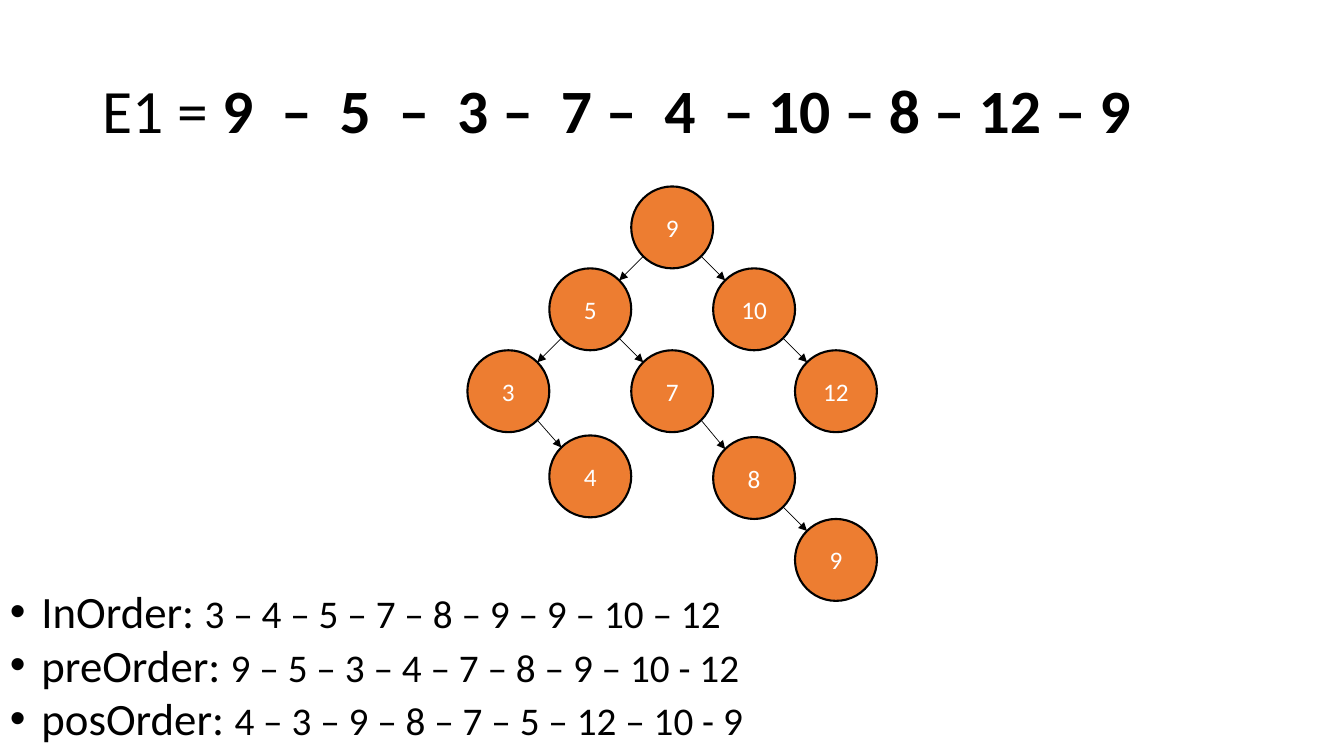
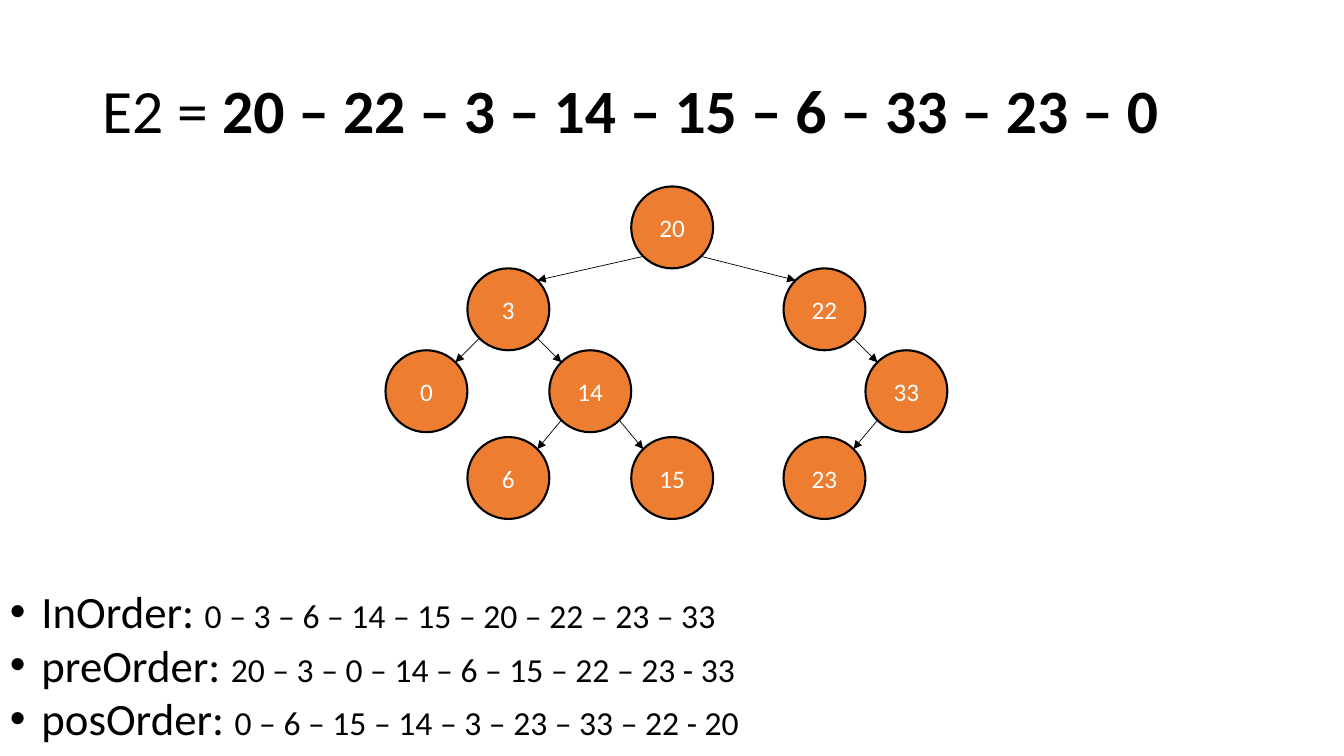
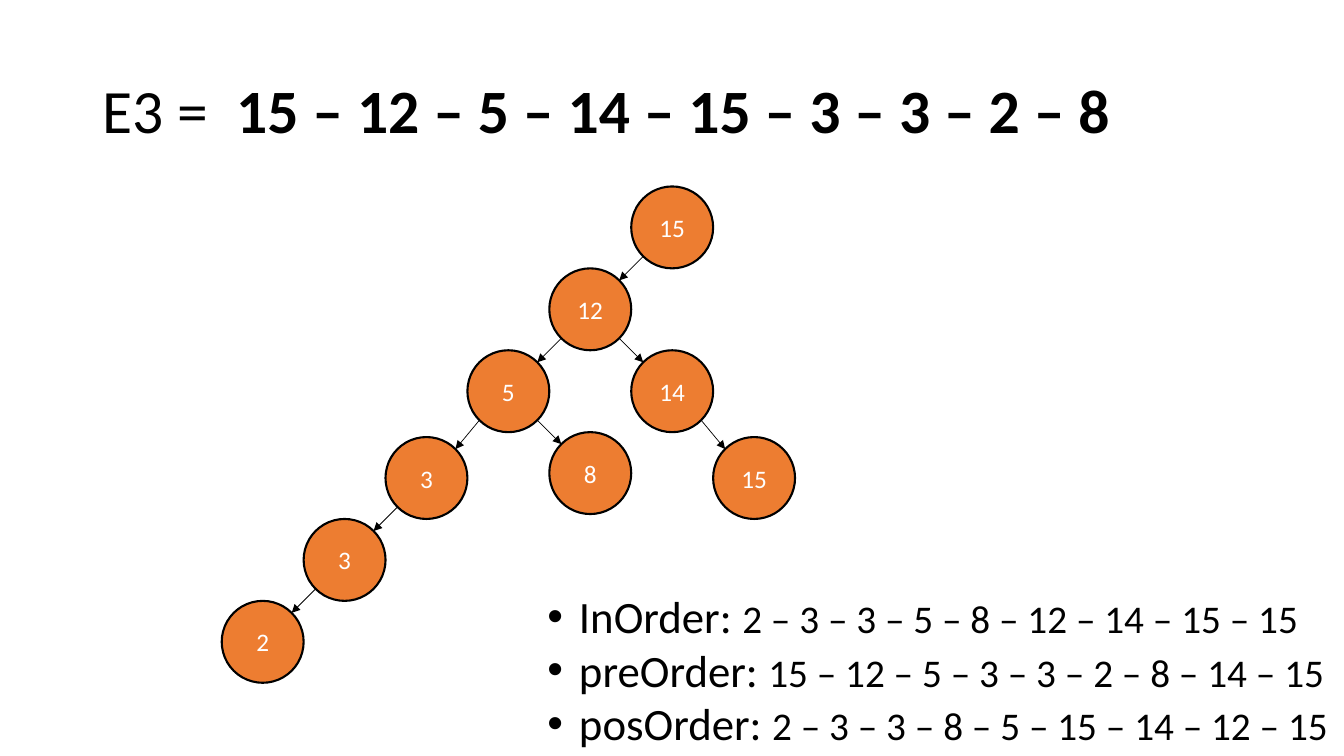
from dataclasses import dataclass
from typing import Iterator, NamedTuple

from pptx import Presentation
from pptx import util as u
from pptx.dml import color as dml
from pptx.enum import shapes, text
from pptx.oxml import ns, xmlchemy as xml

Pt = u.Pt


@dataclass(frozen=True)
class Theme:
    font: str = "Calibri"
    ink: str = "000000"
    fill: str = "ED7D31"
    light: str = "FFFFFF"
    title: float = 44
    name: float = 32
    label: float = 18
    rim: float = 1.5
    edge: float = 0.5


class Box(NamedTuple):
    left: float
    top: float
    width: float
    height: float


class Node(NamedTuple):
    label: str
    col: float
    row: float
    kids: tuple["Node", ...] = ()


class Page(NamedTuple):
    name: str
    keys: str
    root: Node
    box: Box
    size: float
    walks: tuple[str, str, str]


THEME = Theme()
TITLE = Box(66, 28.8, 828, 104.4)
NAMES = ("InOrder: ", "preOrder: ", "posOrder: ")
SIDE = 58.5
ROOT_X, ROOT_Y = 450.9, 133.2
INSET = SIDE * (1 - 0.5 ** 0.5) / 2
INDENT = 22.5

PAGES = (
    Page(
        "E1 = ", "9  –  5  –  3 –  7 –  4  – 10 – 8 – 12 – 9",
        Node("9", 0, 0, (
            Node("5", -1, 1, (
                Node("3", -2, 2, (Node("4", -1, 3.04),)),
                Node("7", 0, 2, (
                    Node("8", 1, 3.06, (Node("9", 2, 4.06),)),
                )),
            )),
            Node("10", 1, 1, (Node("12", 2, 2),)),
        )),
        Box(0, 413.3, 576, 123.8), 28,
        ("3 – 4 – 5 – 7 – 8 – 9 – 9 – 10 – 12",
         "9 – 5 – 3 – 4 – 7 – 8 – 9 – 10 - 12",
         "4 – 3 – 9 – 8 – 7 – 5 – 12 – 10 - 9"),
    ),
    Page(
        "E2 = ", "20 – 22 – 3 – 14 – 15 – 6 – 33 – 23 – 0",
        Node("20", 0, 0, (
            Node("3", -2, 1, (
                Node("0", -3, 2),
                Node("14", -1, 2, (
                    Node("6", -2, 3.06),
                    Node("15", 0, 3.06),
                )),
            )),
            Node("22", 1.86, 1, (
                Node("33", 2.86, 2, (Node("23", 1.86, 3.06),)),
            )),
        )),
        Box(0, 413.3, 567.4, 123.8), 24,
        ("0 – 3 – 6 – 14 – 15 – 20 – 22 – 23 – 33",
         "20 – 3 – 0 – 14 – 6 – 15 – 22 – 23 - 33",
         "0 – 6 – 15 – 14 – 3 – 23 – 33 – 22 - 20"),
    ),
    Page(
        "E3 =  ", "15 – 12 – 5 – 14 – 15 – 3 – 3 – 2 – 8",
        Node("15", 0, 0, (
            Node("12", -1, 1, (
                Node("5", -2, 2, (
                    Node("3", -3, 3.06, (
                        Node("3", -4, 4.06, (Node("2", -5, 5.06),)),
                    )),
                    Node("8", -1, 3),
                )),
                Node("14", 0, 2, (Node("15", 1, 3.06),)),
            )),
        )),
        Box(384, 416.9, 576, 123.8), 28,
        ("2 – 3 – 3 – 5 – 8 – 12 – 14 – 15 – 15",
         "15 – 12 – 5 – 3 – 3 – 2 – 8 – 14 – 15",
         "2 – 3 – 3 – 8 – 5 – 15 – 14 – 12 – 15"),
    ),
)


def rgb(code: str) -> dml.RGBColor:
    return dml.RGBColor.from_string(code)


def add_run(para, words: str, size: float, tint: str = THEME.ink,
            bold: bool = False) -> None:
    run = para.add_run()
    run.text = words
    font = run.font
    font.name, font.size, font.bold = THEME.font, Pt(size), bold
    font.color.rgb = rgb(tint)


def add_frame(slide, box: Box):
    frame = slide.shapes.add_textbox(*map(Pt, box)).text_frame
    frame.word_wrap = True
    return frame


def add_title(slide, page: Page) -> None:
    frame = add_frame(slide, TITLE)
    frame.vertical_anchor = text.MSO_ANCHOR.MIDDLE
    para = frame.paragraphs[0]
    para.line_spacing = 0.9
    add_run(para, page.name, THEME.title)
    add_run(para, page.keys, THEME.title, bold=True)


def add_dot(para) -> None:
    props = para._p.get_or_add_pPr()
    props.set("marL", str(Pt(INDENT)))
    props.set("indent", str(-Pt(INDENT)))
    xml.OxmlElement
    font = xml.OxmlElement("a:buFont")
    font.set("typeface", "Arial")
    dot = xml.OxmlElement("a:buChar")
    dot.set("char", "•")
    props.extend((font, dot))


def add_walks(slide, page: Page) -> None:
    frame = add_frame(slide, page.box)
    frame.auto_size = text.MSO_AUTO_SIZE.SHAPE_TO_FIT_TEXT
    for i, (name, walk) in enumerate(zip(NAMES, page.walks)):
        para = frame.add_paragraph() if i else frame.paragraphs[0]
        add_dot(para)
        add_run(para, name, THEME.name)
        add_run(para, walk, page.size)


def corner(node: Node, right: bool, low: bool) -> tuple[float, float]:
    left, top = ROOT_X + node.col * SIDE, ROOT_Y + node.row * SIDE
    far = SIDE - INSET
    return left + (far if right else INSET), top + (far if low else INSET)


def add_node(slide, node: Node) -> None:
    box = Box(ROOT_X + node.col * SIDE, ROOT_Y + node.row * SIDE, SIDE, SIDE)
    disc = slide.shapes.add_shape(
        shapes.MSO_SHAPE.FLOWCHART_CONNECTOR, *map(Pt, box))
    disc.shadow.inherit = False
    disc.fill.solid()
    disc.fill.fore_color.rgb = rgb(THEME.fill)
    disc.line.color.rgb = rgb(THEME.ink)
    disc.line.width = Pt(THEME.rim)
    frame = disc.text_frame
    frame.vertical_anchor = text.MSO_ANCHOR.MIDDLE
    para = frame.paragraphs[0]
    para.alignment = text.PP_ALIGN.CENTER
    add_run(para, node.label, THEME.label, THEME.light)


def add_edge(slide, node: Node, kid: Node) -> None:
    right = kid.col > node.col
    ends = corner(node, right, True) + corner(kid, not right, False)
    edge = slide.shapes.add_connector(
        shapes.MSO_CONNECTOR.STRAIGHT, *map(Pt, ends))
    edge.line.color.rgb = rgb(THEME.ink)
    edge.line.width = Pt(THEME.edge)
    tip = xml.OxmlElement("a:tailEnd")
    tip.set("type", "triangle")
    props = edge._element.spPr
    props.find(ns.qn("a:ln")).append(tip)
    props.append(xml.OxmlElement("a:effectLst"))


def walk_tree(node: Node) -> Iterator[Node]:
    yield node
    for kid in node.kids:
        yield from walk_tree(kid)


def add_tree(slide, root: Node) -> None:
    for node in walk_tree(root):
        add_node(slide, node)
        for kid in node.kids:
            add_edge(slide, node, kid)


def main() -> None:
    deck = Presentation()
    deck.slide_width, deck.slide_height = Pt(960), Pt(540)
    for page in PAGES:
        slide = deck.slides.add_slide(deck.slide_layouts[6])
        add_title(slide, page)
        add_tree(slide, page.root)
        add_walks(slide, page)
    deck.save("out.pptx")


main()
